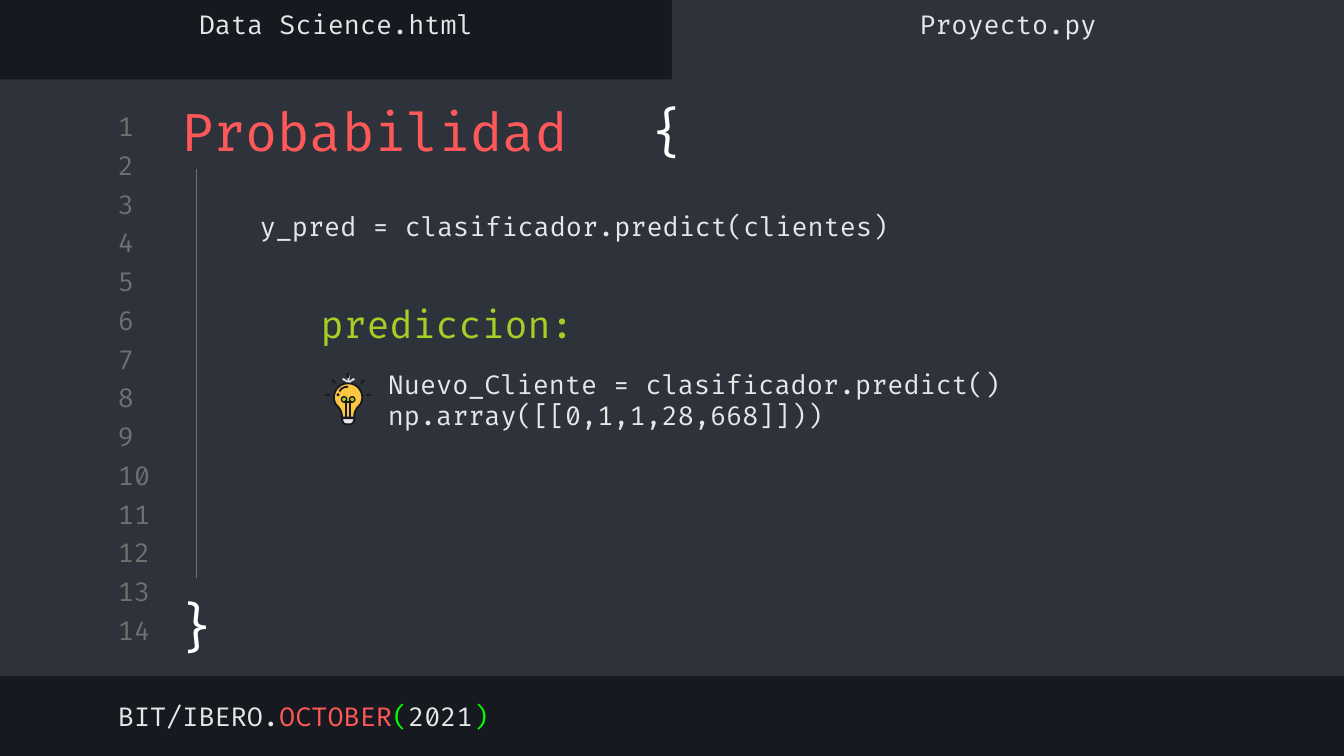
import pptx
import pptx.dml.color
import pptx.enum.shapes
import pptx.enum.text
import pptx.oxml
import pptx.oxml.ns
import pptx.util
from pptx.util import Cm

RGBColor = pptx.dml.color.RGBColor
NIGHT = RGBColor(0x16, 0x19, 0x1F)
PANEL = RGBColor(0x2E, 0x32, 0x3B)
GRAY = RGBColor(0x70, 0x70, 0x70)
LIGHT = RGBColor(0xE7, 0xE7, 0xE7)
WHITE = RGBColor(0xFF, 0xFF, 0xFF)
RED = RGBColor(0xFF, 0x58, 0x58)
LIME = RGBColor(0xA5, 0xCF, 0x27)
GREEN = RGBColor(0x00, 0xFF, 0x00)
YELLOW = RGBColor(0xFC, 0xC6, 0x42)

FONT = "Fira Code"
SHAPE = pptx.enum.shapes.MSO_SHAPE
ANCHOR = pptx.enum.text.MSO_ANCHOR
ALIGN = pptx.enum.text.PP_ALIGN

LINE_COUNT = 14
FIRST_LINE_TOP, LAST_LINE_TOP = 2.08, 11.6
BULB_LEFT, BULB_TOP, BULB_UNIT = 6.11, 7.03, 0.0254
BULB_AXIS = 18.5


def add_panel(page, left, top, width, height):
    panel = page.shapes.add_shape(SHAPE.RECTANGLE, Cm(left), Cm(top), Cm(width), Cm(height))
    panel.shadow.inherit = False
    panel.fill.solid()
    panel.fill.fore_color.rgb = PANEL
    panel.line.fill.background()


def set_frame(box, anchor):
    frame = box.text_frame
    frame.word_wrap = True
    frame.auto_size = pptx.enum.text.MSO_AUTO_SIZE.NONE
    frame.vertical_anchor = anchor
    frame.margin_left = frame.margin_right = Cm(0.25)
    frame.margin_top = frame.margin_bottom = Cm(0.25)
    return frame


def write(para, pieces, size, align=ALIGN.LEFT):
    """Fill a paragraph with (text, colour) pieces."""
    para.alignment = align
    for text, color in pieces:
        span = para.add_run()
        span.text = text
        span.font.name = FONT
        span.font.size = pptx.util.Pt(size)
        span.font.color.rgb = color


def add_text(page, place, pieces, size=14, align=ALIGN.LEFT, anchor=ANCHOR.MIDDLE):
    box = page.shapes.add_textbox(*map(Cm, place))
    frame = set_frame(box, anchor)
    write(frame.paragraphs[0], pieces, size, align)
    return frame


def add_property(para, xml):
    """Append one DrawingML element to the paragraph properties."""
    tag, rest = xml.split(" ", 1)
    element = pptx.oxml.parse_xml(f'{tag} {pptx.oxml.ns.nsdecls("a")} {rest}')
    para._p.get_or_add_pPr().append(element)


def add_title(page):
    """Fill the title placeholder and bring it in front of the panels."""
    title = page.shapes.title
    title.left, title.top, title.width, title.height = map(Cm, (3.18, 1.63, 20.24, 1.5))
    para = set_frame(title, ANCHOR.TOP).paragraphs[0]
    write(para, [("Probabilidad\t", RED), ("{", WHITE)], 28)
    add_property(para, f'<a:tabLst ><a:tab pos="{Cm(8.89)}" algn="l"/></a:tabLst>')
    page.shapes._spTree.append(title._element)


def add_prediction(page):
    frame = add_text(page, (5.81, 5.44, 14.2, 5.87), [("prediccion:", LIME)],
                     size=20, anchor=ANCHOR.TOP)
    para = frame.add_paragraph()
    para.space_before = pptx.util.Pt(12)
    properties = para._p.get_or_add_pPr()
    properties.set("marL", str(Cm(1.27)))
    properties.set("indent", str(Cm(-0.89)))
    add_property(para, f'<a:buClr ><a:srgbClr val="{LIGHT}"/></a:buClr>')
    add_property(para, f'<a:buFont typeface="{FONT}"/>')
    add_property(para, '<a:buChar char="∗"/>')
    write(para, [("Nuevo_Cliente = clasificador.predict()", LIGHT)], 14)
    para.add_line_break()
    write(para, [("np.array([[0,1,1,28,668]]))", LIGHT)], 14)


def add_line(shapes, start, end, color, weight):
    line = shapes.add_connector(pptx.enum.shapes.MSO_CONNECTOR.STRAIGHT, *start, *end)
    line.line.color.rgb = color
    line.line.width = pptx.util.Pt(weight)
    effects = pptx.oxml.parse_xml(f'<a:effectLst {pptx.oxml.ns.nsdecls("a")}/>')
    line._element.spPr.append(effects)


def bulb_point(x, y):
    return Cm(BULB_LEFT + x * BULB_UNIT), Cm(BULB_TOP + y * BULB_UNIT)


def mirror(points):
    return [(2 * BULB_AXIS - x, y) for x, y in points]


def curve(start, control_a, control_b, end, steps=10):
    """Points along a cubic Bezier curve, its start left out."""
    points = []
    for step in range(1, steps + 1):
        t = step / steps
        weights = ((1 - t) ** 3, 3 * t * (1 - t) ** 2, 3 * t ** 2 * (1 - t), t ** 3)
        corners = (start, control_a, control_b, end)
        points.append(tuple(sum(w * c[axis] for w, c in zip(weights, corners))
                            for axis in (0, 1)))
    return points


def style_bulb_part(part, fill, weight):
    part.shadow.inherit = False
    if fill is None:
        part.fill.background()
    else:
        part.fill.solid()
        part.fill.fore_color.rgb = fill
    part.line.color.rgb = NIGHT
    part.line.width = pptx.util.Pt(weight)


def add_outline(shapes, points, fill, close=True):
    start, *others = [bulb_point(*point) for point in points]
    builder = shapes.build_freeform(*start)
    builder.add_line_segments(others, close=close)
    style_bulb_part(builder.convert_to_shape(), fill, 1)


def add_dot(shapes, x, y, radius, fill):
    left, top = bulb_point(x - radius, y - radius)
    size = Cm(2 * radius * BULB_UNIT)
    dot = shapes.add_shape(SHAPE.OVAL, left, top, size, size)
    style_bulb_part(dot, fill, 0.75)


def add_bulb(page):
    shapes = page.shapes.add_group_shape().shapes
    shoulder, neck = (26, 26), (23, 34)
    right = [(BULB_AXIS, 8.5)]
    right += curve(right[0], (28, 8.5), (32.5, 20), shoulder)
    right += curve(shoulder, (24, 28), (23, 31), neck)
    add_outline(shapes, right + mirror(right)[:0:-1], YELLOW)

    base = [(23, 34.5), (23, 36), (22, 38.2), (20.5, 39)]
    add_outline(shapes, base + mirror(base)[::-1], LIGHT)
    add_outline(shapes, [(12, 14.5), (13.5, 12.5), (16, 11.3), (BULB_AXIS, 11)], None, close=False)
    add_dot(shapes, 11, 17, 0.6, NIGHT)

    add_dot(shapes, 21.5, 20.5, 2, LIME)
    add_dot(shapes, *mirror([(21.5, 20.5)])[0], 2, LIME)
    strokes = [[(20, 21), (20, 34)], [(30.5, 6), (28, 8.5)], [(32, 17), (35.5, 17)]]
    strokes += [mirror(stroke) for stroke in strokes]
    strokes += [[(BULB_AXIS, 1), (BULB_AXIS, 4.5)], [(15.5, 22.5), (21.5, 22.5)]]
    for start, end in strokes:
        add_line(shapes, bulb_point(*start), bulb_point(*end), NIGHT, 1)


def main():
    deck = pptx.Presentation()
    deck.slide_width, deck.slide_height = Cm(25.4), Cm(14.29)
    page = deck.slides.add_slide(deck.slide_layouts[5])
    page.background.fill.solid()
    page.background.fill.fore_color.rgb = NIGHT

    add_panel(page, 0, 1.5, 25.4, 11.28)
    add_panel(page, 12.7, 0, 12.7, 1.75)
    line_step = (LAST_LINE_TOP - FIRST_LINE_TOP) / (LINE_COUNT - 1)
    for index in range(LINE_COUNT):
        add_text(page, (1.98, FIRST_LINE_TOP + line_step * index, 1.2, 0.61),
                 [(str(index + 1), GRAY)])
    for column, name in enumerate(("Data Science.html", "Proyecto.py")):
        add_text(page, (12.7 * column, 0, 12.7, 0.91), [(name, LIGHT)], align=ALIGN.CENTER)

    add_title(page)
    add_text(page, (4.66, 3.63, 15.14, 1.27),
             [("y_pred = clasificador.predict(clientes)", LIGHT)])
    add_prediction(page)
    add_line(page.shapes, (Cm(3.71), Cm(3.2)), (Cm(3.71), Cm(10.92)), GRAY, 0.75)
    add_text(page, (3.02, 10.98, 1.4, 1.7), [("}", WHITE)],
             size=28, align=ALIGN.CENTER, anchor=ANCHOR.TOP)
    add_text(page, (1.98, 13.04, 13.51, 0.99),
             [("BIT/IBERO.", LIGHT), ("OCTOBER", RED), ("(", GREEN), ("2021", LIGHT), (")", GREEN)])
    add_bulb(page)
    deck.save("out.pptx")


if __name__ == "__main__":
    main()
